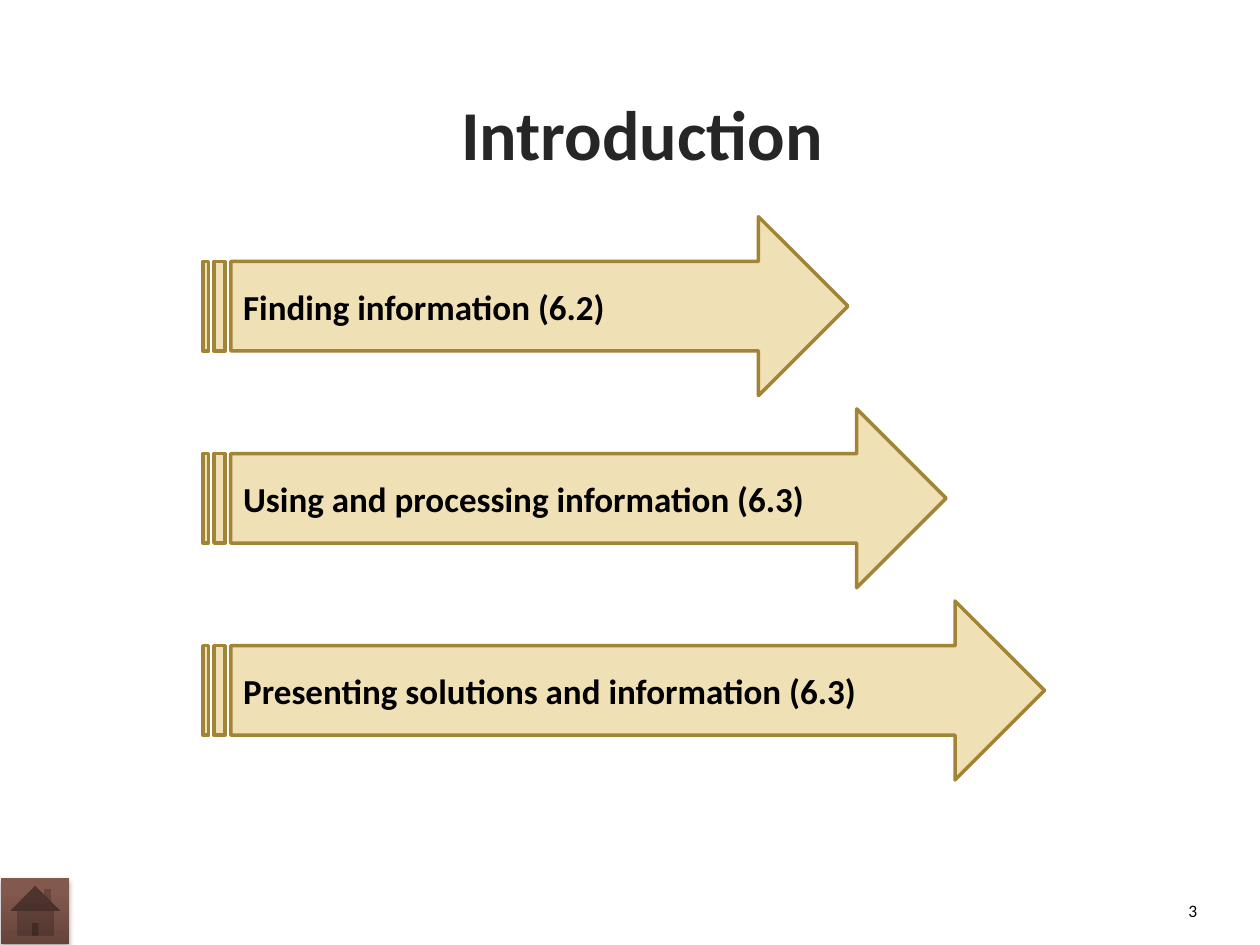
from lxml import etree
from pptx import Presentation
from pptx.dml.color import RGBColor
from pptx.enum.shapes import MSO_SHAPE
from pptx.enum.text import MSO_ANCHOR, PP_ALIGN
from pptx.oxml import parse_xml
from pptx.oxml.ns import nsdecls, qn
from pptx.util import Inches, Pt

STRIPED_ARROW = MSO_SHAPE.STRIPED_RIGHT_ARROW
HOME_BUTTON = MSO_SHAPE.ACTION_BUTTON_HOME
MIDDLE = MSO_ANCHOR.MIDDLE
LEFT, CENTER, RIGHT = PP_ALIGN.LEFT, PP_ALIGN.CENTER, PP_ALIGN.RIGHT

THEME = {
    "font": "Calibri",
    "title": "262626", "text": "000000",
    "arrow": "F0E0B5", "outline": "A18435",
    "button": [(0, "65443B"), (80, "83584D"), (100, "85584C")],
    "title_size": 40, "arrow_size": 20, "number_size": 10,
    "outline_width": 2,
}

ARROW_LEFT, ARROW_TOP = 1.61, 1.72
ARROW_WIDTH, ARROW_HEIGHT = 5.12, 1.42
WIDTH_STEP, ROW_STEP = 0.78, 1.525
STEPS = [
    "Finding information (6.2)",
    "Using and processing information (6.3)",
    "Presenting solutions and information (6.3)",
]


def inches(*lengths):
    return [Inches(length) for length in lengths]


def write(shape, text, size, color, align, bold=False):
    frame = shape.text_frame
    frame.word_wrap = True
    frame.vertical_anchor = MIDDLE
    paragraph = frame.paragraphs[0]
    paragraph.alignment = align
    run = paragraph.add_run()
    run.text = text
    run.font.name = THEME["font"]
    run.font.size = Pt(size)
    run.font.bold = bold
    run.font.color.rgb = RGBColor.from_string(color)


prs = Presentation()
prs.slide_width, prs.slide_height = inches(10, 7.5)
slide = prs.slides.add_slide(prs.slide_layouts[6])
shapes = slide.shapes

# Home button: upward gradient and a soft shadow
home = shapes.add_shape(HOME_BUTTON, *inches(0.01, 6.97, 0.54, 0.52))
home.line.fill.background()
home.shadow.inherit = False
stops = "".join(
    f'<a:gs pos="{share * 1000}"><a:srgbClr val="{color}"/></a:gs>'
    for share, color in THEME["button"])
gradient = parse_xml(
    f'<a:gradFill {nsdecls("a")} rotWithShape="1"><a:gsLst>{stops}</a:gsLst>'
    '<a:lin ang="16200000" scaled="0"/></a:gradFill>')
properties = home._element.spPr
properties.find(qn("a:prstGeom")).addnext(gradient)
shadow = etree.SubElement(
    properties.find(qn("a:effectLst")), qn("a:outerShdw"),
    blurRad=str(Pt(3.1)), dist=str(Pt(1.8)), dir="5400000", rotWithShape="0")
shadow_color = etree.SubElement(shadow, qn("a:srgbClr"), val="000000")
etree.SubElement(shadow_color, qn("a:alpha"), val="35000")

title = shapes.add_textbox(*inches(2.87, 0.7, 4.45, 0.71))
write(title, "Introduction", THEME["title_size"], THEME["title"], CENTER, True)

page_number = shapes.add_textbox(*inches(9.17, 7.07, 0.43, 0.31))
write(page_number, "3", THEME["number_size"], THEME["text"], RIGHT)

# Each arrow reaches one step further than the one above
for row, step in enumerate(STEPS):
    arrow = shapes.add_shape(STRIPED_ARROW, *inches(
        ARROW_LEFT, ARROW_TOP + row * ROW_STEP,
        ARROW_WIDTH + row * WIDTH_STEP, ARROW_HEIGHT))
    arrow.shadow.inherit = False
    arrow.fill.solid()
    arrow.fill.fore_color.rgb = RGBColor.from_string(THEME["arrow"])
    arrow.line.color.rgb = RGBColor.from_string(THEME["outline"])
    arrow.line.width = Pt(THEME["outline_width"])
    write(arrow, step, THEME["arrow_size"], THEME["text"], LEFT, True)

prs.save("out.pptx")
